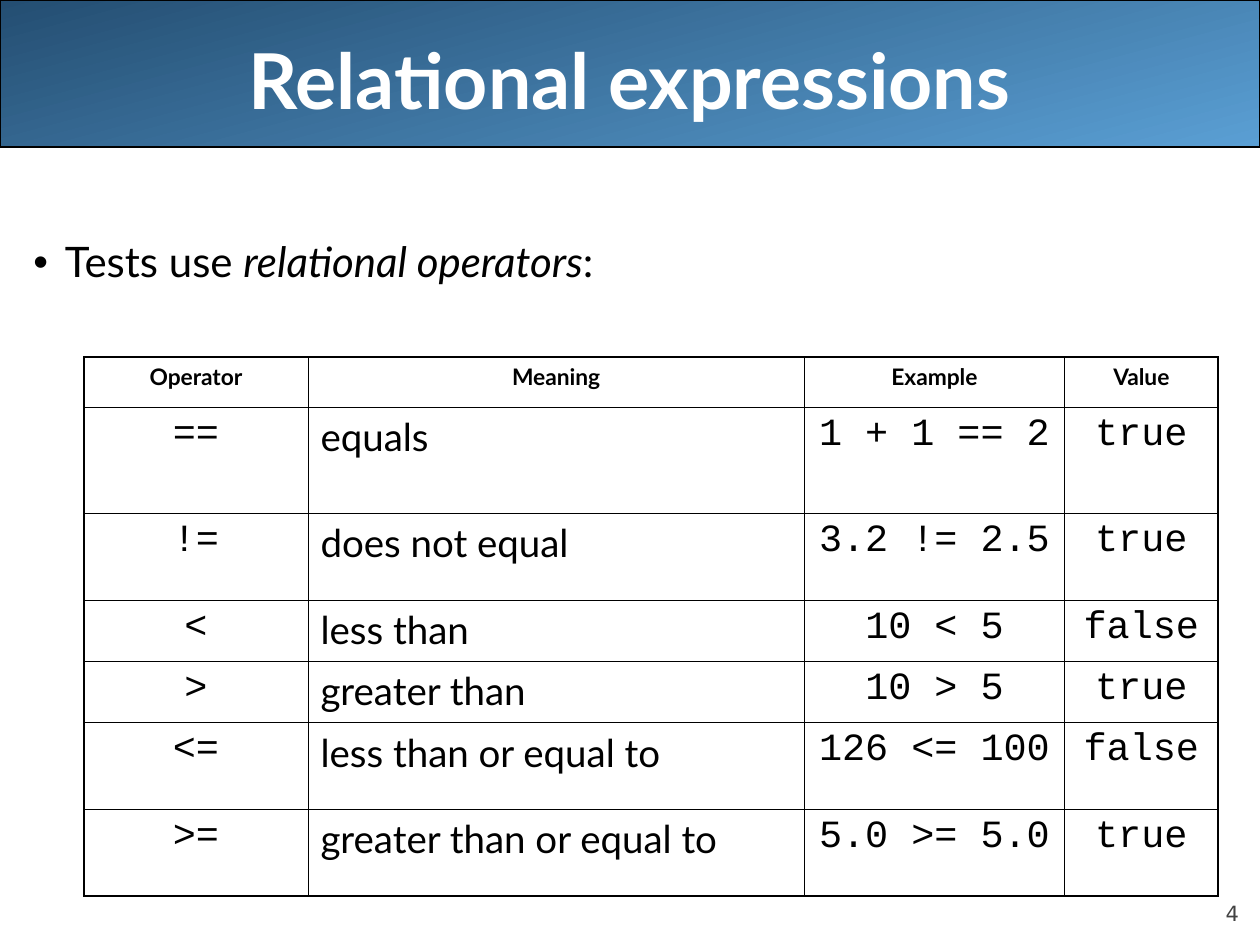
from lxml import etree
from pptx import Presentation
from pptx import util as u
from pptx.dml.color import RGBColor
from pptx.enum import shapes, text
from pptx.oxml import ns

BLACK = RGBColor(0x00, 0x00, 0x00)
WHITE = RGBColor(0xFF, 0xFF, 0xFF)
GRAY = RGBColor(0x42, 0x42, 0x42)
NAVY = RGBColor(0x24, 0x4E, 0x72)
SKY = RGBColor(0x5A, 0x9F, 0xD4)
SANS, MONO, SMALL = "Lato", "Courier New", "DejaVu Sans"
LEFT, MID, RIGHT = text.PP_ALIGN.LEFT, text.PP_ALIGN.CENTER, text.PP_ALIGN.RIGHT
THIN, THICK = 0.45, 1.08

HEAD = ("Operator", "Meaning", "Example", "Value")
ROWS = (
    ("==", "equals", "1 + 1 == 2", "true"),
    ("!=", "does not equal", "3.2 != 2.5", "true"),
    ("<", "less than", "10 < 5", "false"),
    (">", "greater than", "10 > 5", "true"),
    ("<=", "less than or equal to", "126 <= 100", "false"),
    (">=", "greater than or equal to", "5.0 >= 5.0", "true"),
)
WIDTHS = (128, 283.5, 149, 87.5)
HEIGHTS = (28.8, 60.5, 49.5, 35.1, 35.1, 49.5, 49.5)


class Deck:
    """Hold the style and the current slide, and draw each kind of element."""

    def __init__(self, show):
        self.slide = show.slides.add_slide(show.slide_layouts[6])
        self.shapes = self.slide.shapes

    def band(self, x, y, w, h):
        kind = shapes.MSO_SHAPE.ROUNDED_RECTANGLE
        band = self.shapes.add_shape(kind, u.Pt(x), u.Pt(y), u.Pt(w), u.Pt(h))
        band.adjustments[0] = 0
        band.shadow.inherit = False
        band.fill.gradient()
        band.fill.gradient_angle = 285
        for stop, color, place in zip(band.fill.gradient_stops, (NAVY, SKY), (0, 1)):
            stop.color.rgb = color
            stop.position = place
        band.line.color.rgb = BLACK
        band.line.width = u.Pt(0.75)

    def box(self, x, y, w, h, pad=(7.2, 3.6, 7.2, 3.6), anchor=text.MSO_ANCHOR.TOP):
        frame = self.shapes.add_textbox(u.Pt(x), u.Pt(y), u.Pt(w), u.Pt(h)).text_frame
        frame.word_wrap = True
        frame.vertical_anchor = anchor
        frame.margin_left, frame.margin_top, frame.margin_right, frame.margin_bottom = map(u.Pt, pad)
        return frame.paragraphs[0]

    def run(self, para, words, size, font=SANS, color=BLACK, bold=False, slant=False):
        run = para.add_run()
        run.text = words
        run.font.size = u.Pt(size)
        run.font.name = font
        run.font.color.rgb = color
        run.font.bold = bold
        run.font.italic = slant

    def bullet(self, para, indent):
        props = para._p.get_or_add_pPr()
        props.set("marL", str(u.Pt(indent)))
        props.set("indent", str(-u.Pt(indent)))
        etree.SubElement(props, ns.qn("a:buFont"), typeface="Arial")
        etree.SubElement(props, ns.qn("a:buChar"), char="•")

    def edge(self, cell, side, width):
        props = cell._tc.get_or_add_tcPr()
        line = etree.SubElement(props, ns.qn(f"a:ln{side}"), w=str(u.Pt(width)))
        fill = etree.SubElement(line, ns.qn("a:solidFill"))
        etree.SubElement(fill, ns.qn("a:srgbClr"), val=str(BLACK))

    def grid(self, x, y, rows, widths, heights):
        last, end = len(rows) - 1, len(widths) - 1
        frame = self.shapes.add_table(
            len(rows), len(widths), u.Pt(x), u.Pt(y), u.Pt(sum(widths)), u.Pt(sum(heights)))
        table = frame.table
        table.first_row = table.horz_banding = False
        for col, width in zip(table.columns, widths):
            col.width = u.Pt(width)
        for row, height in zip(table.rows, heights):
            row.height = u.Pt(height)
        for r, row in enumerate(rows):
            for c, words in enumerate(row):
                cell = table.cell(r, c)
                outer = {"L": c == 0, "R": c == end, "T": r == 0, "B": r == last}
                for side, thick in outer.items():
                    self.edge(cell, side, THICK if thick else THIN)
                cell.fill.background()
                para = cell.text_frame.paragraphs[0]
                para.alignment = LEFT if r and c == 1 else MID
                para.space_before = u.Pt(5.5 if r else 3.3)
                font = MONO if r and c != 1 else SANS
                self.run(para, words, 22 if r else 13, font, bold=r == 0)


def main():
    show = Presentation()
    show.slide_width, show.slide_height = u.Pt(720), u.Pt(540)
    deck = Deck(show)
    deck.band(0, 0, 720, 84)

    page = deck.box(648, 500.5, 60, 28.5, (0, 0, 0, 0), text.MSO_ANCHOR.BOTTOM)
    page.alignment = RIGHT
    deck.run(page, "4", 12, SMALL, GRAY)

    title = deck.box(36, 0, 648, 90, anchor=text.MSO_ANCHOR.MIDDLE)
    title.alignment = MID
    deck.run(title, "Relational expressions", 44, color=WHITE, bold=True)

    body = deck.box(12, 102, 708, 408, (7.2, 36, 7.2, 3.6))
    body.line_spacing = 0.9
    deck.bullet(body, 18)
    deck.run(body, "Tests use ", 24)
    deck.run(body, "relational operators", 24, slant=True)
    deck.run(body, ":", 24)

    deck.grid(48, 204, (HEAD, *ROWS), WIDTHS, HEIGHTS)
    show.save("out.pptx")


if __name__ == "__main__":
    main()
